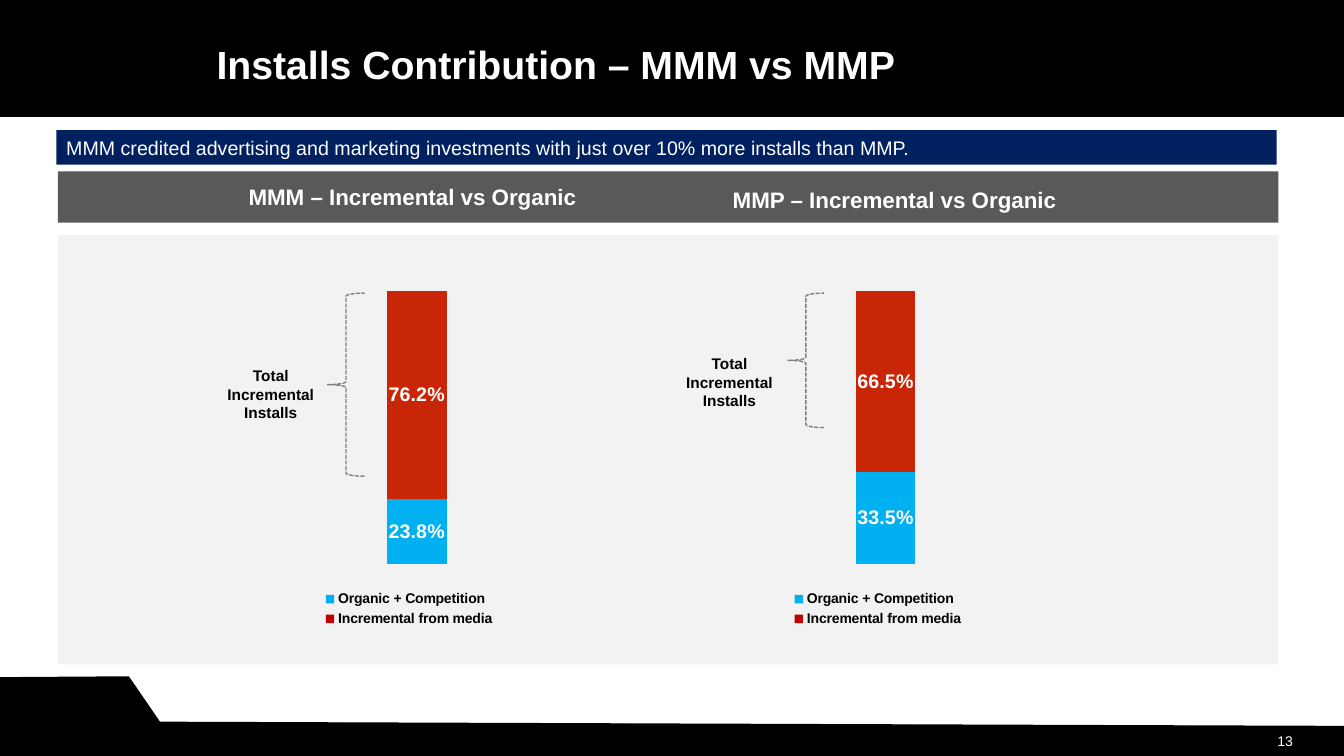
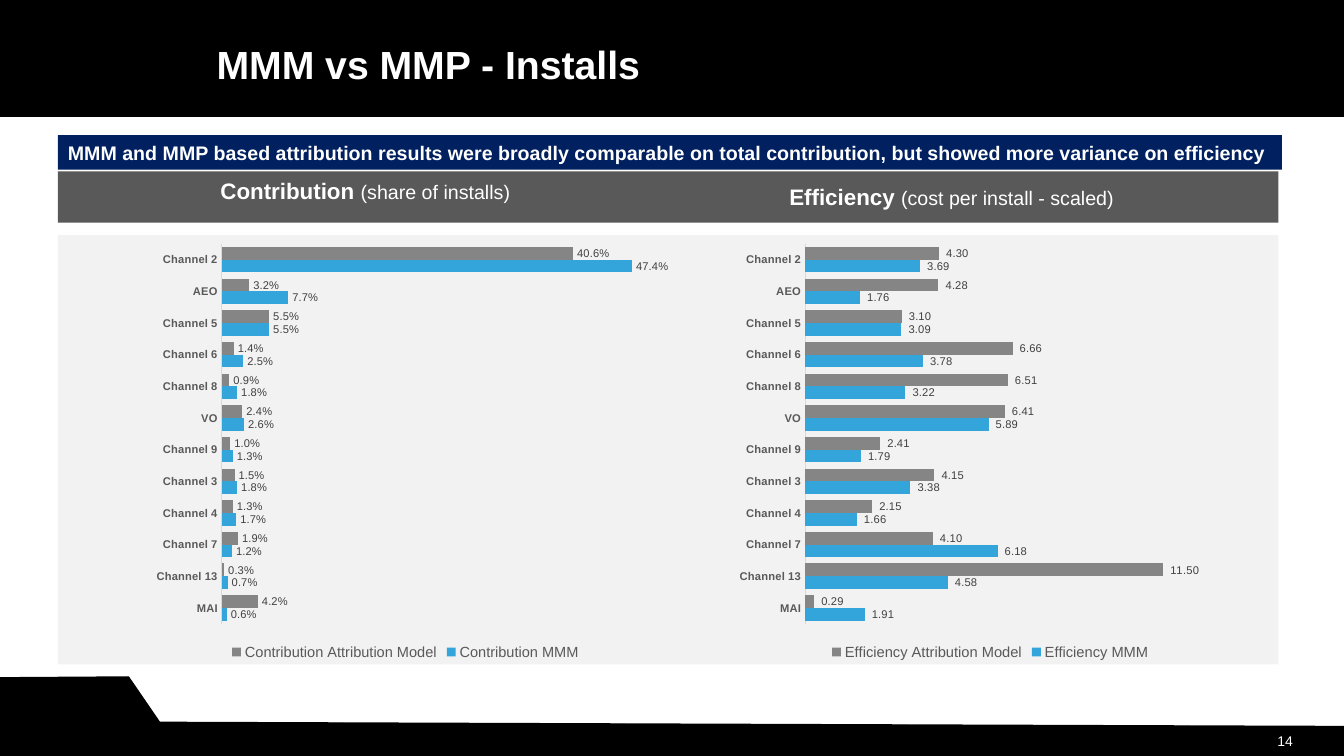
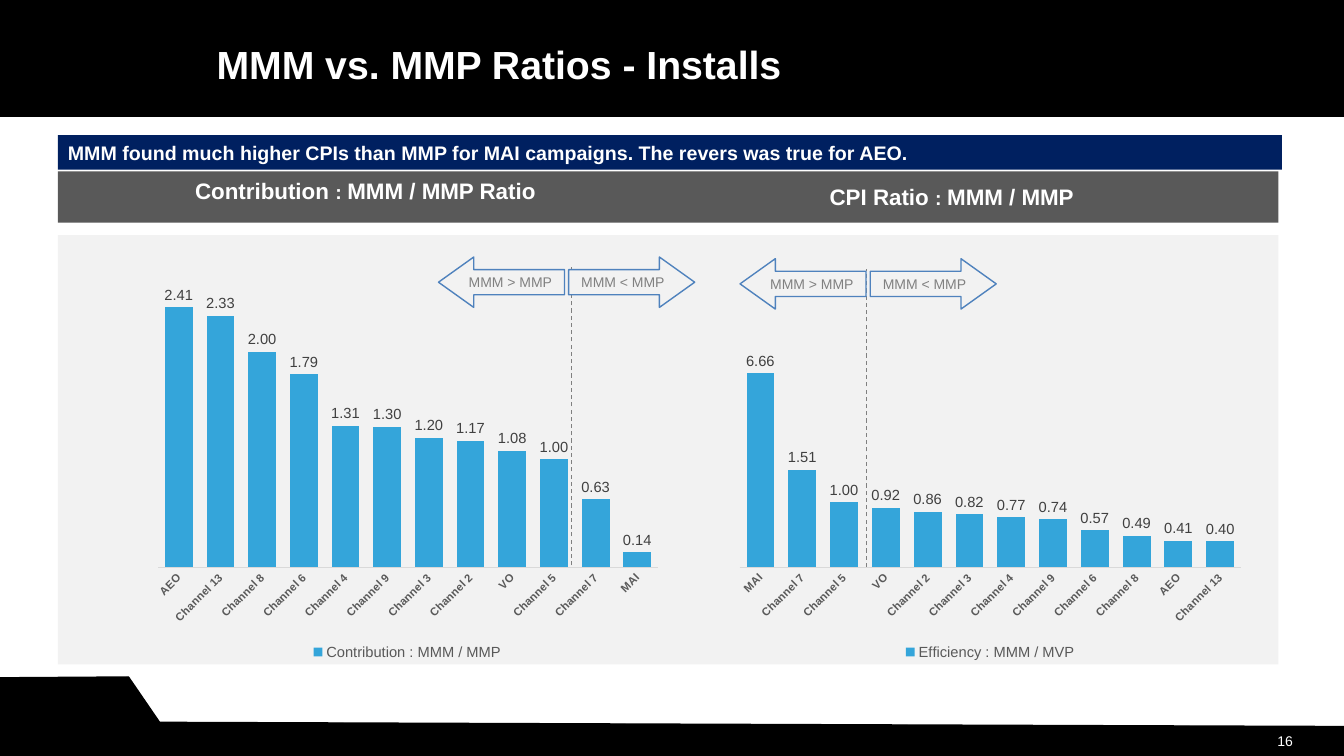
from lxml import etree
from pptx import Presentation
from pptx import util as u
from pptx.chart.data import CategoryChartData
from pptx.dml.color import RGBColor
from pptx.enum import chart as ch, dml, shapes, text
from pptx.oxml.ns import qn

rgb = RGBColor.from_string
FONT = "Arial"
BLACK, WHITE, NAVY, SLATE, PALE = "000000", "FFFFFF", "002060", "595959", "F2F2F2"
BLUE, GREY, EDGE, CYAN, RED, BRICK = "34A5DA", "858585", "4F82BD", "00B0F0", "C00000", "C82606"
INK, MID, RULE = "404040", "808080", "D9D9D9"
PCT, NUM = "0.0%", "_(* #,##0.00_)"
RECT = shapes.MSO_SHAPE.RECTANGLE
LEFT, MID_X, RIGHT = text.PP_ALIGN.LEFT, text.PP_ALIGN.CENTER, text.PP_ALIGN.RIGHT
TOP, MID_Y = text.MSO_ANCHOR.TOP, text.MSO_ANCHOR.MIDDLE

deck = Presentation()
CELL = 76200  # the slide is a grid of 160 columns by 90 rows
deck.slide_width, deck.slide_height = 160 * CELL, 90 * CELL


def box(page, kind, at, fill=None, line=None, parts=(), color=WHITE, align=LEFT, anchor=MID_Y):
    """Add a shape, or a text box if kind is None; parts are (text, size, bold)."""
    spot = [u.Emu(round(v * CELL)) for v in at]
    if kind is None:
        shape = page.shapes.add_textbox(*spot)
    else:
        shape = page.shapes.add_shape(kind, *spot)
        shape.shadow.inherit = False
        if fill:
            shape.fill.solid()
            shape.fill.fore_color.rgb = rgb(fill)
        else:
            shape.fill.background()
        if line:
            shape.line.color.rgb = rgb(line)
            shape.line.width = u.Pt(1)
        else:
            shape.line.fill.background()
    frame = shape.text_frame
    frame.word_wrap = True
    frame.vertical_anchor = anchor
    para = frame.paragraphs[0]
    para.alignment = align
    for words, size, bold in parts:
        run = para.add_run()
        run.text = words
        run.font.name, run.font.size, run.font.bold = FONT, u.Pt(size), bold
        run.font.color.rgb = rgb(color)
    return shape


def plot(page, kind, at, cats, rows, form, size, tone, bold=False, gap=50):
    """Add a chart without value axis; rows are (name, colour, values)."""
    data = CategoryChartData(number_format=form)
    data.categories = cats
    for name, _, vals in rows:
        data.add_series(name, vals)
    spot = [u.Emu(round(v * CELL)) for v in at]
    chart = page.shapes.add_chart(kind, *spot, data).chart
    chart.has_title = False
    chart.font.name, chart.font.size = FONT, u.Pt(10)
    chart.font.color.rgb = rgb(BLACK)
    chart.has_legend = True
    key = chart.legend
    key.position, key.include_in_layout = ch.XL_LEGEND_POSITION.BOTTOM, False
    key.font.name, key.font.bold = FONT, bold
    key.font.size = u.Pt(10 if bold else 10.5)
    key.font.color.rgb = rgb(BLACK if bold else SLATE)
    chart.value_axis.visible = False
    chart.value_axis.has_major_gridlines = False
    chart.value_axis.minimum_scale = 0
    axis = chart.category_axis
    axis.major_tick_mark = ch.XL_TICK_MARK.NONE
    axis.format.line.color.rgb = rgb(RULE)
    axis.format.line.width = u.Pt(0.75)
    font = axis.tick_labels.font
    font.name, font.size, font.bold = FONT, u.Pt(8), True
    font.color.rgb = rgb(SLATE)
    bars = chart.plots[0]
    bars.gap_width, bars.vary_by_categories = gap, False
    for ser, (_, color, _) in zip(bars.series, rows):
        ser.format.fill.solid()
        ser.format.fill.fore_color.rgb = rgb(color)
        tags = ser.data_labels
        tags.show_value = True
        tags.number_format, tags.number_format_is_linked = form, False
        tags.font.name, tags.font.size, tags.font.bold = FONT, u.Pt(size), bold
        tags.font.color.rgb = rgb(tone)
        if kind != ch.XL_CHART_TYPE.COLUMN_STACKED:
            tags.position = ch.XL_LABEL_POSITION.OUTSIDE_END
    return chart


# Frame of every slide: number, title, banner, banner place, headings with their places
low, wide = (6.9, 16.1, 145.7, 4.1), (6.7, 15.5, 145.3, 4.1)
near, far = (12.6, 20.5), (82.4, 21.2)
heads = [
    ("13", "Installs Contribution – MMM vs MMP",
     "MMM credited advertising and marketing investments with just over 10% more installs than MMP.",
     False, wide,
     [((18.2, 21.2), [("MMM – Incremental vs Organic", 16, True)]),
      ((75.6, 21.6), [("MMP – Incremental vs Organic", 16, True)])]),
    ("14", "MMM vs MMP - Installs",
     "MMM and MMP based attribution results were broadly comparable on total contribution, "
     "but showed more variance on efficiency",
     True, low,
     [(near, [("Contribution ", 16, True), ("(share of installs)", 14, False)]),
      (far, [("Efficiency ", 16, True), ("(cost per install - scaled)", 14, False)])]),
    ("16", "MMM vs. MMP Ratios - Installs",
     "MMM found much higher CPIs than MMP for MAI campaigns. The revers was true for AEO.",
     True, low,
     [(near, [("Contribution ", 16, True), (": ", 14, True), ("MMM / MMP Ratio", 16, True)]),
      (far, [("CPI Ratio ", 16, True), (": ", 14, True), ("MMM / MMP", 16, True)])]),
]
foot = [(0, 80.7), (15.3, 80.6), (19, 86), (160.2, 86.5), (160, 90), (0, 90)]
pages = []
for num, title, note, bold, strip, tops in heads:
    page = deck.slides.add_slide(deck.slide_layouts[6])
    pages.append(page)
    dots = [(round(x * CELL), round(y * CELL)) for x, y in foot]
    path = page.shapes.build_freeform(*dots[0])
    path.add_line_segments(dots[1:], close=True)
    base = path.convert_to_shape()
    base.shadow.inherit = False
    base.fill.solid()
    base.fill.fore_color.rgb = base.line.color.rgb = rgb(BLACK)
    base.line.width = u.Pt(1)
    box(page, RECT, (0, 0, 160, 13.8), BLACK, BLACK)
    box(page, RECT, (6.9, 28, 145.3, 51.1), PALE)
    box(page, RECT, (6.9, 20.4, 145.3, 6.1), SLATE)
    box(page, RECT, strip, NAVY, parts=[(note, 14, bold)])
    box(page, None, (24.6, 2.4, 110.5, 10.3), parts=[(title, 28, True)])
    box(page, None, (142.4, 86.9, 12.7, 2.6), parts=[(num, 10, False)], align=RIGHT)
    for (x, y), parts in tops:
        box(page, None, (x, y, 61.8, 4.4), parts=parts, align=MID_X, anchor=TOP)

# Slide 1: stacked shares, with braces
shares = [
    (28.4, 0.238, 0.762, (39, 34.9, 4.4, 21.8), (25.3, 43)),
    (84.2, 0.335, 0.665, (93.8, 34.9, 4.3, 16), (79.9, 41.6)),
]
for x, free, paid, arm, (left, top) in shares:
    rows = [("Organic + Competition", CYAN, [free]), ("Incremental from media", RED, [paid])]
    chart = plot(pages[0], ch.XL_CHART_TYPE.COLUMN_STACKED, (x, 26.6, 40.6, 48.5), ["1"],
                 rows, PCT, 14, WHITE, True, 95)
    chart.category_axis.visible = False
    chart.value_axis.maximum_scale = 1.2
    chart.plots[0].overlap = 100
    fill = chart.plots[0].series[1].points[0].format.fill
    fill.solid()
    fill.fore_color.rgb = rgb(BRICK)
    area = chart.plots[0]._element.getparent()
    for old in area.findall(qn("c:layout")):
        area.remove(old)
    lay = etree.Element(qn("c:layout"))
    area.insert(0, lay)
    man = etree.SubElement(lay, qn("c:manualLayout"))
    for tag, val in [("layoutTarget", "inner"), ("xMode", "edge"), ("yMode", "edge"),
                     ("x", "0.352"), ("y", "0.031"), ("w", "0.342"), ("h", "0.805")]:
        etree.SubElement(man, qn("c:" + tag)).set("val", val)
    brace = box(pages[0], shapes.MSO_SHAPE.LEFT_BRACE, arm, line=MID)
    brace.line.dash_style = dml.MSO_LINE.SQUARE_DOT
    box(pages[0], None, (left, top, 13.9, 7.9), parts=[("Total Incremental Installs", 11, True)],
        color=BLACK, align=MID_X, anchor=TOP)

# Slide 2: paired bars by channel
cols = (17.4, 86.8)
cats = ["MAI", "Channel 13", "Channel 7", "Channel 4", "Channel 3", "Channel 9", "VO",
        "Channel 8", "Channel 6", "Channel 5", "AEO", "Channel 2"]
pairs = [
    ("Contribution", PCT,
     [0.006, 0.007, 0.012, 0.017, 0.018, 0.013, 0.026, 0.018, 0.025, 0.055, 0.077, 0.474],
     [0.042, 0.003, 0.019, 0.013, 0.015, 0.01, 0.024, 0.009, 0.014, 0.055, 0.032, 0.406]),
    ("Efficiency", NUM,
     [1.91, 4.58, 6.18, 1.66, 3.38, 1.79, 5.89, 3.22, 3.78, 3.09, 1.76, 3.69],
     [0.29, 11.5, 4.1, 2.15, 4.15, 2.41, 6.41, 6.51, 6.66, 3.1, 4.28, 4.3]),
]
for x, (name, form, mix, model) in zip(cols, pairs):
    rows = [(name + " MMM", BLUE, mix), (name + " Attribution Model", GREY, model)]
    plot(pages[1], ch.XL_CHART_TYPE.BAR_CLUSTERED, (x, 28, 62.2, 51.1), cats, rows, form, 8, INK)

# Slide 3: ratios, each split by a dashed line under two arrows
ratios = [
    ("Contribution : MMM / MMP",
     ["AEO", "Channel 13", "Channel 8", "Channel 6", "Channel 4", "Channel 9", "Channel 3",
      "Channel 2", "VO", "Channel 5", "Channel 7", "MAI"],
     [2.41, 2.33, 2, 1.79, 1.31, 1.3, 1.2, 1.17, 1.08, 1, 0.63, 0.14], 3, 68, 52.2, 30.6),
    ("Efficiency : MMM / MVP",
     ["MAI", "Channel 7", "Channel 5", "VO", "Channel 2", "Channel 3", "Channel 4",
      "Channel 9", "Channel 6", "Channel 8", "AEO", "Channel 13"],
     [3, 1.51, 1, 0.92, 0.86, 0.82, 0.77, 0.74, 0.57, 0.49, 0.41, 0.4], 5, 103.2, 88.1, 30.8),
]
for x, (name, names, vals, peak, split, left, top) in zip(cols, ratios):
    chart = plot(pages[2], ch.XL_CHART_TYPE.COLUMN_CLUSTERED, (x, 28, 62.2, 51.1), names,
                 [(name, BLUE, vals)], NUM, 10.5, INK)
    chart.value_axis.maximum_scale = peak
    turn = chart.category_axis._element.find(qn("c:txPr")).find(qn("a:bodyPr"))
    turn.set("rot", "-2700000")
    x0, y0, y1 = (round(v * CELL) for v in (split, top + 36.7, top + 1.2))
    rule = pages[2].shapes.add_connector(shapes.MSO_CONNECTOR.STRAIGHT, x0, y0, x0, y1)
    rule.line.color.rgb = rgb(MID)
    rule.line.width = u.Pt(0.75)
    rule.line.dash_style = dml.MSO_LINE.DASH
    etree.SubElement(rule._element.spPr, qn("a:effectLst"))
    arrows = [(shapes.MSO_SHAPE.RIGHT_ARROW, 15.5, "MMM < MMP"),
              (shapes.MSO_SHAPE.LEFT_ARROW, 0, "MMM > MMP")]
    for kind, step, words in arrows:
        arrow = box(pages[2], kind, (left + step, top, 15, 6), PALE, EDGE,
                    [(words, 10, False)], MID, MID_X)
        arrow.adjustments[0], arrow.adjustments[1] = 0.5, 0.7

# The tallest bar is cut short, so its label states the true ratio
tag = chart.plots[0].series[0].points[0].data_label
tag.text_frame.text = "6.66"
font = tag.text_frame.paragraphs[0].runs[0].font
font.name, font.size = FONT, u.Pt(10.5)
font.color.rgb = rgb(INK)
tag.position = ch.XL_LABEL_POSITION.OUTSIDE_END

deck.save("out.pptx")
